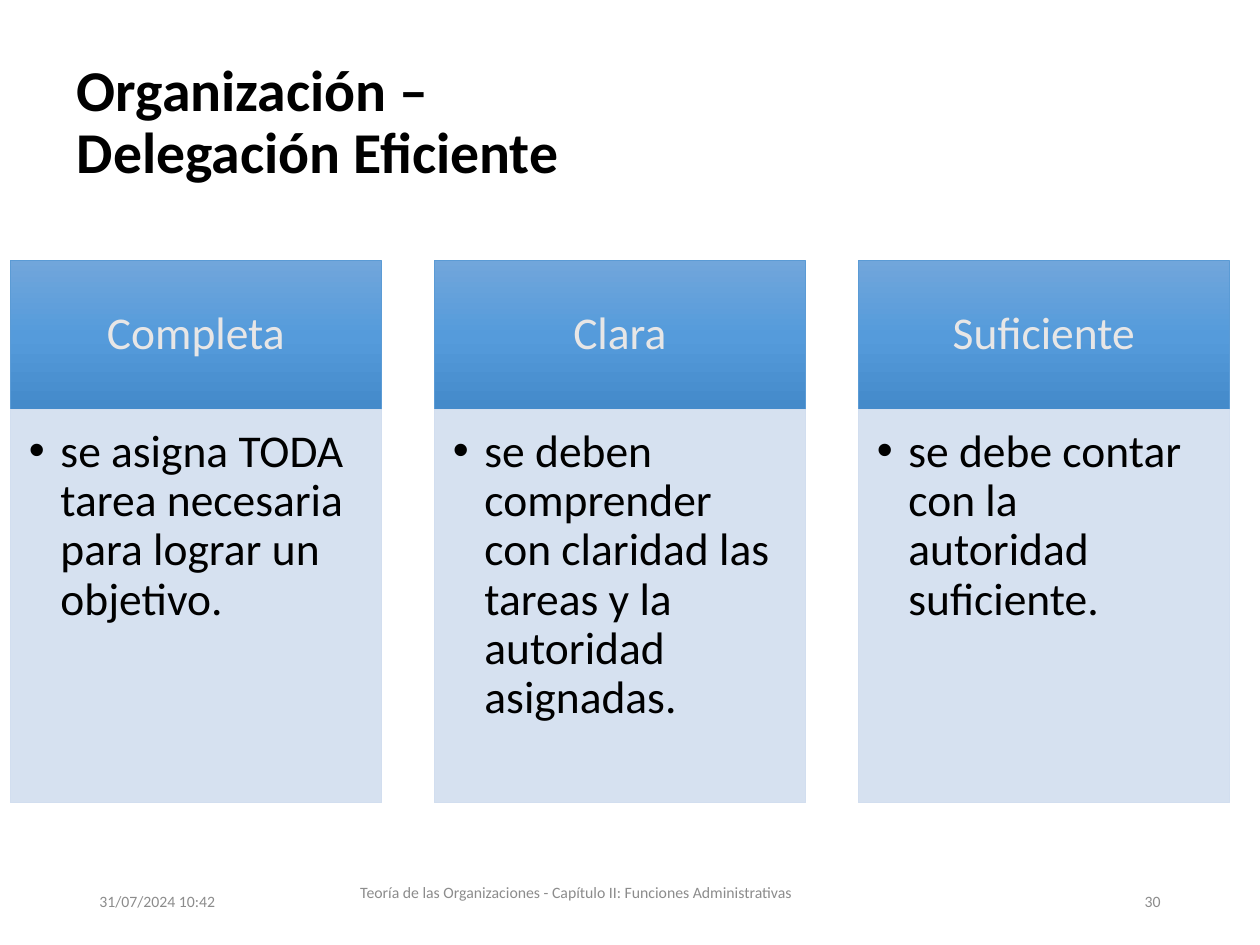
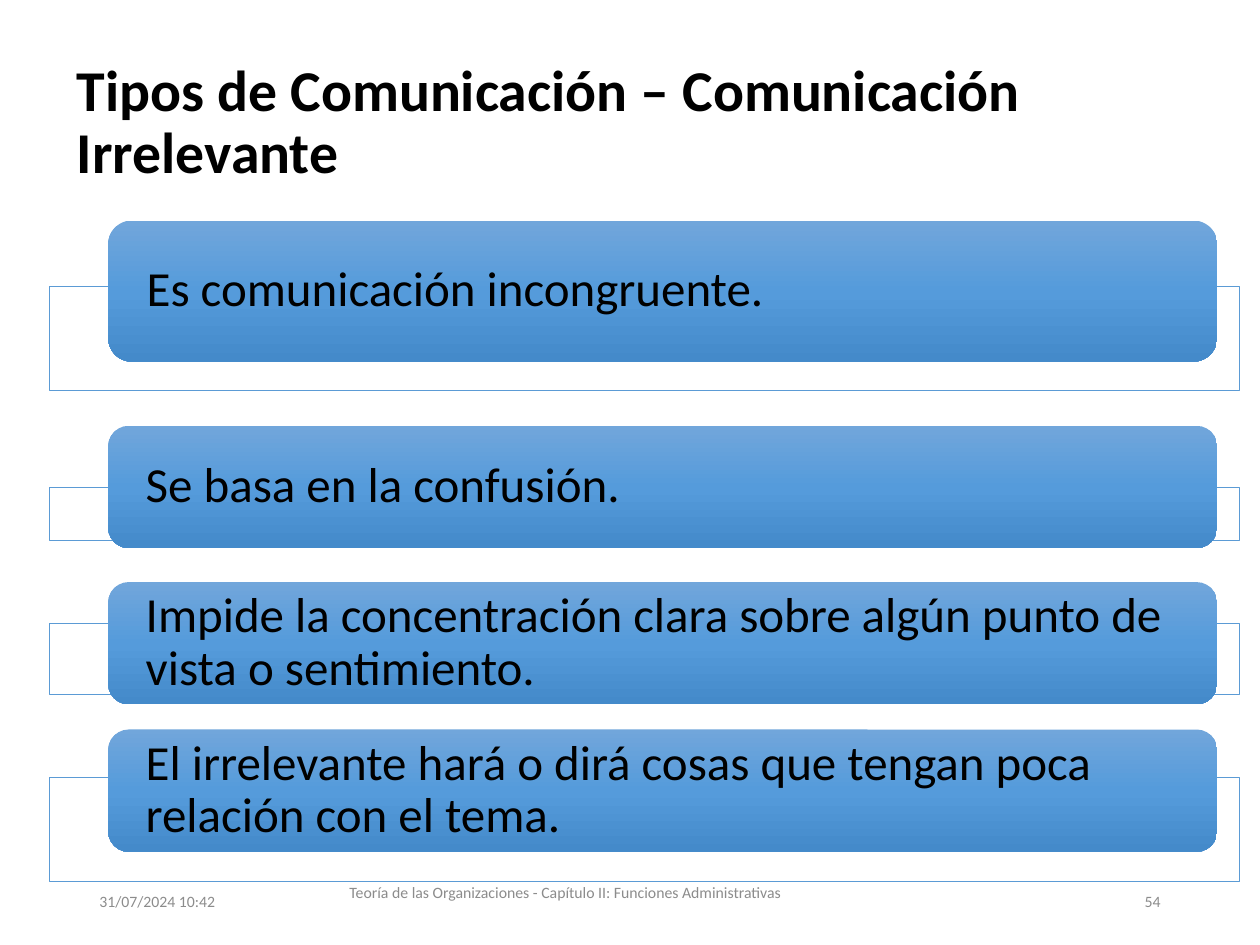
import copy
from typing import Any, NamedTuple

import lxml.etree
import pptx
import pptx.dml.color
import pptx.enum.shapes
import pptx.enum.text
import pptx.oxml.ns
import pptx.util

FONT = "Calibri"
BLACK, WHITE, GREY = "000000", "FFFFFF", "8C8C8C"
BLUE, PALE, LIGHT = "5B9BD5", "D2DEEF", "E7E6E6"
GRADE = ("71A6DB", "559BDB", "448ACA")
DATE = "31/07/2024 10:42"
COURSE = "Teoría de las Organizaciones - Capítulo II: Funciones Administrativas"

# The grid has 100 columns and 75 rows of square cells.
WIDE, HIGH = pptx.util.Inches(10), pptx.util.Inches(7.5)
CELL = WIDE / 100

ALIGN = pptx.enum.text.PP_ALIGN
ANCHOR = pptx.enum.text.MSO_ANCHOR
SHAPE = pptx.enum.shapes.MSO_SHAPE
qn = pptx.oxml.ns.qn


class Box(NamedTuple):
    """Place and size in grid cells."""
    left: float
    top: float
    width: float
    height: float

    def emu(self) -> list[int]:
        return [round(side * CELL) for side in self]


class Card(NamedTuple):
    head: str
    body: str


class Band(NamedTuple):
    """A rounded bar in front of a thin frame; tops and heights in rows."""
    text: str
    top: float
    height: float
    frame_top: float
    frame_height: float


CARDS = (
    Card("Completa", "se asigna TODA tarea necesaria para lograr un objetivo."),
    Card("Clara", "se deben comprender con claridad las tareas y la autoridad asignadas."),
    Card("Suficiente", "se debe contar con la autoridad suficiente."),
)
CARD_LEFT, CARD_STEP, CARD_WIDTH = 0.8, 33.65, 29.5
HEAD_TOP, HEAD_HIGH, BODY_HIGH = 20.7, 11.8, 31.2

BANDS = (
    Band("Es comunicación incongruente.", 17.5, 11.2, 22.7, 8.3),
    Band("Se basa en la confusión.", 33.8, 9.7, 38.7, 4.2),
    Band("Impide la concentración clara sobre algún punto de vista o sentimiento.",
         46.2, 9.7, 49.5, 5.6),
    Band("El irrelevante hará o dirá cosas que tengan poca relación con el tema.",
         57.9, 9.7, 61.7, 8.3),
)


def rgb(code: str) -> pptx.dml.color.RGBColor:
    return pptx.dml.color.RGBColor.from_string(code)


def write(shape: Any, text: str, *, size: float, color: str = BLACK, bold: bool = False,
          align: Any = ALIGN.LEFT, anchor: Any = ANCHOR.MIDDLE, spacing: float = 0.9,
          inset: tuple = (1, 0.5, 1, 0.5), bullet: bool = False) -> None:
    """Put one paragraph in a shape; inset is left, top, right, bottom in cells."""
    frame = shape.text_frame
    frame.word_wrap = True
    frame.auto_size = pptx.enum.text.MSO_AUTO_SIZE.NONE
    frame.vertical_anchor = anchor
    for side, gap in zip(("left", "top", "right", "bottom"), inset):
        setattr(frame, f"margin_{side}", round(gap * CELL))
    para = frame.paragraphs[0]
    para.text = text
    para.alignment, para.line_spacing = align, spacing
    if bullet:
        props = para._p.get_or_add_pPr()
        hang = round(2.5 * CELL)
        props.set("marL", str(hang))
        props.set("indent", str(-hang))
        lxml.etree.SubElement(props, qn("a:buFont"), typeface="Arial")
        lxml.etree.SubElement(props, qn("a:buChar"), char="•")
    for run in para.runs:
        font = run.font
        font.name, font.size, font.bold = FONT, pptx.util.Pt(size), bold
        font.color.rgb = rgb(color)
    for mark in para._p.findall(qn("a:br")):
        mark.insert(0, copy.deepcopy(para.runs[0]._r.rPr))


def fade(shape: Any) -> None:
    """Fill with the shared gradient, from top to bottom."""
    shape.fill.gradient()
    shape.fill.gradient_angle = 270
    stops = shape._element.spPr.find(qn("a:gradFill")).find(qn("a:gsLst"))
    for stop in list(stops):
        stops.remove(stop)
    for rank, code in enumerate(GRADE):
        stop = lxml.etree.SubElement(stops, qn("a:gs"), pos=str(rank * 50000))
        lxml.etree.SubElement(stop, qn("a:srgbClr"), val=code)


def block(slide: Any, box: Box, fill: str | None = None, line: str | None = None,
          kind: Any = SHAPE.RECTANGLE) -> Any:
    """Add a shape; without a fill colour it takes the gradient."""
    shape = slide.shapes.add_shape(kind, *box.emu())
    shape.shadow.inherit = False
    if fill:
        shape.fill.solid()
        shape.fill.fore_color.rgb = rgb(fill)
        tint = shape._element.spPr.find(qn("a:solidFill"))[0]
        lxml.etree.SubElement(tint, qn("a:alpha"), val="90000")
    else:
        fade(shape)
    if line:
        shape.line.color.rgb = rgb(line)
        shape.line.width = pptx.util.Pt(0.5)
    else:
        shape.line.fill.background()
    return shape


def start(deck: Any, title: str, number: int, course: Box) -> Any:
    """Add a slide with its title and footers."""
    slide = deck.slides.add_slide(deck.slide_layouts.get_by_name("Title Only"))
    head = slide.shapes.title
    head.left, head.top, head.width, head.height = Box(5.1, 3.6, 90, 12.5).emu()
    write(head, title, size=33, bold=True)
    for text, box, align in (
        (DATE, Box(6.9, 69.5, 22.5, 4), ALIGN.LEFT),
        (COURSE, course, ALIGN.CENTER),
        (str(number), Box(70.6, 69.5, 22.5, 4), ALIGN.RIGHT),
    ):
        note = slide.shapes.add_textbox(*box.emu())
        write(note, text, size=9, color=GREY, align=align, spacing=1)
    return slide


def draw_card(slide: Any, rank: int, card: Card) -> None:
    left = CARD_LEFT + rank * CARD_STEP
    head = block(slide, Box(left, HEAD_TOP, CARD_WIDTH, HEAD_HIGH), line=BLUE)
    write(head, card.head, size=26, color=LIGHT, align=ALIGN.CENTER,
          inset=(2, 1.2, 2, 1.2))
    body = block(slide, Box(left, HEAD_TOP + HEAD_HIGH, CARD_WIDTH, BODY_HIGH), PALE, PALE)
    write(body, card.body, size=26, anchor=ANCHOR.TOP, bullet=True,
          inset=(1.5, 1.5, 2, 2.3))


def draw_band(slide: Any, band: Band) -> None:
    block(slide, Box(3.9, band.frame_top, 94.5, band.frame_height), WHITE, BLUE)
    bar = block(slide, Box(8.6, band.top, 88, band.height), kind=SHAPE.ROUNDED_RECTANGLE)
    write(bar, band.text, size=28, inset=(2.5, 0, 2.5, 0))


def main() -> None:
    deck = pptx.Presentation()
    deck.slide_width, deck.slide_height = WIDE, HIGH

    slide = start(deck, "Organización – \vDelegación Eficiente", 30,
                  Box(20.3, 68.3, 50.8, 5))
    for rank, card in enumerate(CARDS):
        draw_card(slide, rank, card)

    slide = start(deck, "Tipos de Comunicación – Comunicación Irrelevante", 54,
                  Box(18.7, 68.3, 52.3, 5))
    for band in BANDS:
        draw_band(slide, band)

    deck.save("out.pptx")


if __name__ == "__main__":
    main()
